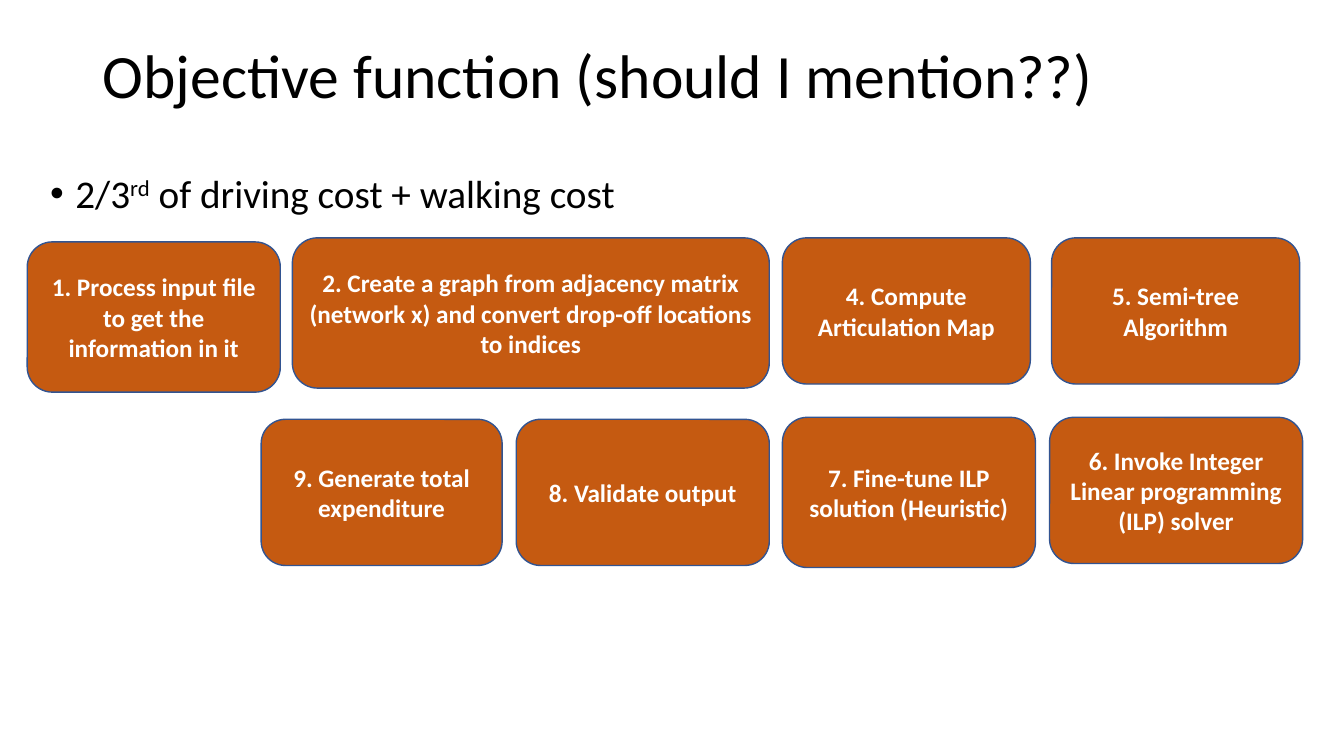
"""Build the objective function slide with its eight process steps."""
from lxml import etree
from pptx import Presentation
from pptx.dml.color import RGBColor
from pptx.enum import shapes, text
from pptx.oxml import ns
from pptx.util import Inches, Pt

COLORS = {"text": "000000", "step": "C55A11", "border": "325491", "label": "FFFFFF"}
TITLE = {"name": "Calibri", "size": Pt(44), "bold": False}
BODY = {"name": "Calibri", "size": Pt(28), "bold": False}
LABEL = {"name": "Calibri", "size": Pt(18), "bold": True}

STEPS = [
    ("1. Process input file to get the information in it", 0.27, 2.4, 2.51, 1.49),
    ("2. Create a graph from adjacency matrix (network x) and convert "
     "drop-off locations to indices", 2.9, 2.36, 4.73, 1.49),
    ("4. Compute Articulation Map", 7.76, 2.36, 2.46, 1.45),
    ("5. Semi-tree Algorithm", 10.43, 2.36, 2.46, 1.45),
    ("6. Invoke Integer Linear programming (ILP) solver", 10.41, 4.14, 2.51, 1.45),
    ("7. Fine-tune ILP solution (Heuristic)", 7.76, 4.14, 2.51, 1.49),
    ("8. Validate output", 5.12, 4.16, 2.51, 1.45),
    ("9. Generate total expenditure", 2.59, 4.16, 2.39, 1.45),
]


def rgb(name):
    return RGBColor.from_string(COLORS[name])


def add_run(p, words, fmt, color):
    r = p.add_run()
    r.text = words
    for key, value in fmt.items():
        setattr(r.font, key, value)
    r.font.color.rgb = rgb(color)
    return r


def set_frame(tf, anchor):
    tf.word_wrap = True
    tf.auto_size = text.MSO_AUTO_SIZE.NONE
    tf.vertical_anchor = anchor
    return tf.paragraphs[0]


def set_title(s, words):
    sp = s.shapes.title
    sp.left, sp.top, sp.width, sp.height = map(Inches, (0.92, 0.4, 11.5, 1.45))
    p = set_frame(sp.text_frame, text.MSO_ANCHOR.TOP)
    p.alignment = text.PP_ALIGN.LEFT
    p.line_spacing = 0.9
    add_run(p, words, TITLE, "text")


def add_bullet(s, parts):
    sp = s.shapes.add_textbox(*map(Inches, (0.4, 1.68, 11.5, 4.76)))
    p = set_frame(sp.text_frame, text.MSO_ANCHOR.TOP)
    p.line_spacing = 0.9
    p.space_before = Pt(10)
    pPr = p._p.get_or_add_pPr()
    pPr.set("marL", str(Inches(0.25)))
    pPr.set("indent", str(-Inches(0.25)))
    etree.SubElement(pPr, ns.qn("a:buFont"), typeface="Arial")
    etree.SubElement(pPr, ns.qn("a:buChar"), char="•")
    for words, baseline in parts:
        r = add_run(p, words, BODY, "text")
        r._r.get_or_add_rPr().set("baseline", str(baseline))


def add_step(s, words, *box):
    sp = s.shapes.add_shape(shapes.MSO_SHAPE.ROUNDED_RECTANGLE, *map(Inches, box))
    sp.shadow.inherit = False
    sp.fill.solid()
    sp.fill.fore_color.rgb = rgb("step")
    sp.line.color.rgb = rgb("border")
    sp.line.width = Pt(1)
    p = set_frame(sp.text_frame, text.MSO_ANCHOR.MIDDLE)
    p.alignment = text.PP_ALIGN.CENTER
    add_run(p, words, LABEL, "label")


def main():
    prs = Presentation()
    prs.slide_width, prs.slide_height = Inches(13.33), Inches(7.5)
    s = prs.slides.add_slide(prs.slide_layouts.get_by_name("Title Only"))
    set_title(s, "Objective function (should I mention??)")
    add_bullet(s, [("2/3", 0), ("rd", 30000), (" of driving cost + walking cost", 0)])
    for step in STEPS:
        add_step(s, *step)
    prs.save("out.pptx")


if __name__ == "__main__":
    main()
